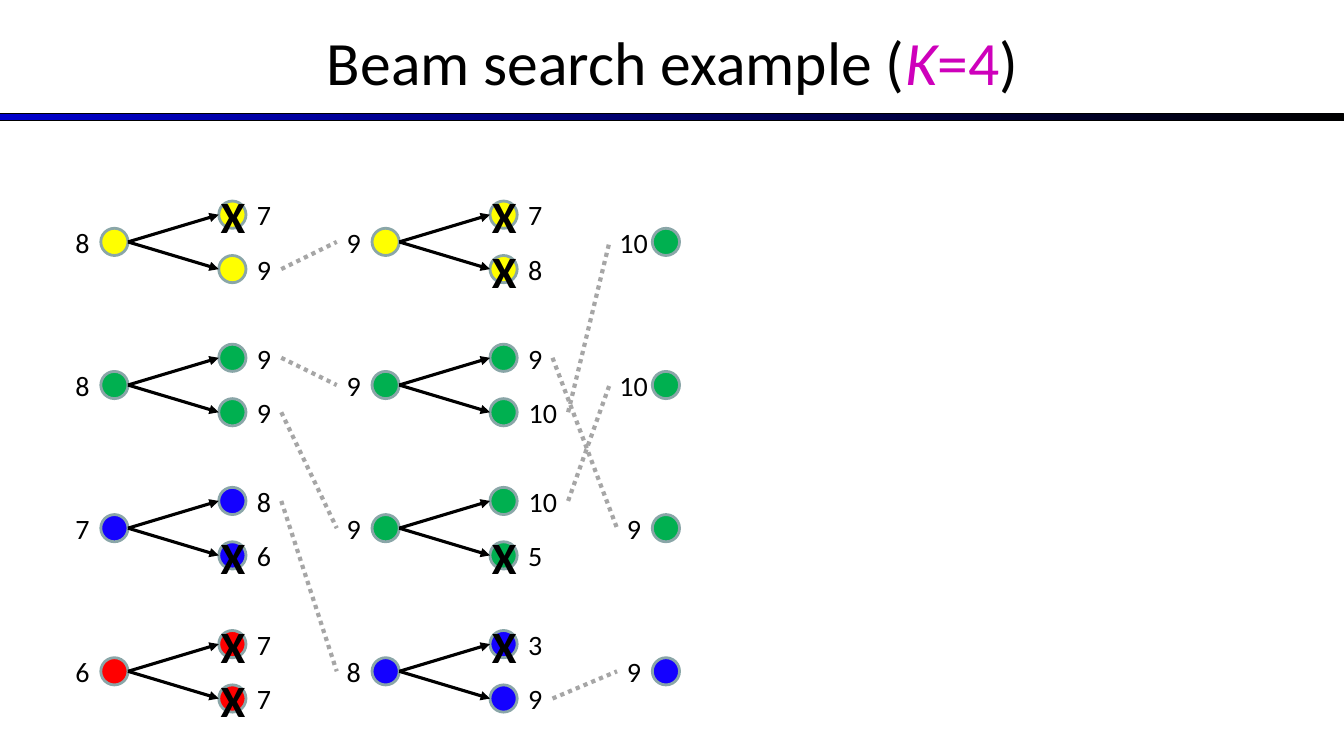
import pptx
import pptx.dml.color
import pptx.enum.dml
import pptx.enum.shapes
import pptx.enum.text
import pptx.oxml
import pptx.oxml.ns
import pptx.util

Inches = pptx.util.Inches
COLORS = {
    "black": "000000", "navy": "0000CC", "pink": "CE00BB",
    "rim": "8AA6A8", "link": "A6A6A6",
    "yellow": "FFFF00", "green": "00B050", "blue": "1401FF", "red": "FF0000",
}

# Layout, in inches
COLS = [1.0, 3.69, 6.47]
TOP, STEP = 2.4, 1.42
DOT = 0.27
REACH = 1.17
SPREAD = 0.27

# Each row: color, score, then (child score, kept) pairs
BEAMS = [
    [("yellow", 8, [(7, False), (9, True)]),
     ("green", 8, [(9, True), (9, True)]),
     ("blue", 7, [(8, True), (6, False)]),
     ("red", 6, [(7, False), (7, False)])],
    [("yellow", 9, [(7, False), (8, False)]),
     ("green", 9, [(9, True), (10, True)]),
     ("green", 9, [(10, True), (5, False)]),
     ("blue", 8, [(3, False), (9, True)])],
    [("green", 10, []), ("green", 10, []), ("green", 9, []), ("blue", 9, [])],
]
# For each step: (row, child) to the row in the next beam
LINKS = [
    {(0, 1): 0, (1, 0): 1, (1, 1): 2, (2, 0): 3},
    {(3, 1): 3, (1, 0): 2, (2, 0): 1, (1, 1): 0},
]


def rgb(name):
    return pptx.dml.color.RGBColor.from_string(COLORS[name])


class Board:
    """Holds the style and the current slide."""

    font = "Calibri"

    def __init__(self, slide):
        self.shapes = slide.shapes

    def text(self, parts, x, y, w, h, size=20, bold=False, align="LEFT", wrap=False):
        """Write (text, color, italic) parts in a box centred on x, y."""
        box = self.shapes.add_textbox(
            Inches(x - w / 2), Inches(y - h / 2), Inches(w), Inches(h))
        frame = box.text_frame
        frame.word_wrap = wrap
        sizing = pptx.enum.text.MSO_AUTO_SIZE
        frame.auto_size = sizing.NONE if wrap else sizing.SHAPE_TO_FIT_TEXT
        frame.vertical_anchor = pptx.enum.text.MSO_ANCHOR.MIDDLE
        line = frame.paragraphs[0]
        line.alignment = pptx.enum.text.PP_ALIGN[align]
        for words, color, slant in parts:
            run = line.add_run()
            run.text = words
            run.font.name = self.font
            run.font.size = pptx.util.Pt(size)
            run.font.bold = bold
            run.font.italic = slant
            run.font.color.rgb = rgb(color)
        return box

    def score(self, value, x, y):
        width = 0.34 if value < 10 else 0.49
        return self.text([(str(value), "black", False)], x, y, width, 0.44)

    def cross(self, x, y):
        self.text([("X", "black", False)], x, y, 0.45, 0.64, size=32, bold=True)

    def dot(self, color, left, y):
        dot = self.shapes.add_shape(
            pptx.enum.shapes.MSO_SHAPE.OVAL,
            Inches(left), Inches(y - DOT / 2), Inches(DOT), Inches(DOT))
        dot.shadow.inherit = False
        dot.fill.solid()
        dot.fill.fore_color.rgb = rgb(color)
        dot.line.color.rgb = rgb("rim")
        dot.line.width = pptx.util.Pt(2)

    def line(self, start, end, color, width):
        line = self.shapes.add_connector(
            pptx.enum.shapes.MSO_CONNECTOR.STRAIGHT,
            *(Inches(v) for v in (*start, *end)))
        line.line.color.rgb = rgb(color)
        line.line.width = pptx.util.Pt(width)
        props = line._element.spPr
        props.append(pptx.oxml.parse_xml(
            f"<a:effectLst {pptx.oxml.ns.nsdecls('a')}/>"))
        return line

    def arrow(self, start, end):
        line = self.line(start, end, "black", 2.25)
        line.line._get_or_add_ln().append(pptx.oxml.parse_xml(
            f"<a:tailEnd {pptx.oxml.ns.nsdecls('a')} type='triangle'/>"))

    def link(self, source, target):
        """Join the right side of one score to the left side of another."""
        line = self.line((0, 0), (1, 1), "link", 3)
        line.line.dash_style = pptx.enum.dml.MSO_LINE.ROUND_DOT
        line.begin_connect(source, 3)
        line.end_connect(target, 1)

    def band(self, y, w, h):
        band = self.shapes.add_shape(
            pptx.enum.shapes.MSO_SHAPE.RECTANGLE,
            0, Inches(y), Inches(w), Inches(h))
        band.shadow.inherit = False
        band.fill.gradient()
        band.fill.gradient_angle = 0
        for stop, color in zip(band.fill.gradient_stops, ("navy", "black")):
            stop.color.rgb = rgb(color)
        band.line.color.rgb = rgb("black")
        band.line.width = pptx.util.Pt(0.75)

    def beam(self, left, rows):
        """Draw one beam; return its scores and its child scores."""
        heads, kids = [], {}
        for row, (color, value, pairs) in enumerate(rows):
            y = TOP + row * STEP
            self.dot(color, left, y)
            heads.append(self.score(value, left - 0.18, y))
            for side, (points, kept) in enumerate(pairs):
                kid_x = left + REACH
                kid_y = y + (2 * side - 1) * SPREAD
                self.dot(color, kid_x, kid_y)
                self.arrow((left + DOT, y), (kid_x, kid_y))
                middle = kid_x + 0.28 + (0.17 if points < 10 else 0.25)
                kids[row, side] = self.score(points, middle, kid_y)
                if not kept:
                    self.cross(kid_x + DOT / 2 + 0.01, kid_y + 0.01)
        return heads, kids


def main():
    deck = pptx.Presentation()
    deck.slide_width, deck.slide_height = Inches(13.33), Inches(7.5)
    board = Board(deck.slides.add_slide(deck.slide_layouts[6]))

    # Title and rule
    board.band(1.13, 13.33, 0.07)
    board.text(
        [("Beam search example (", "black", False), ("K", "pink", True),
         ("=4", "pink", False), (")", "black", False)],
        6.67, 0.6, 13.33, 1.25, size=44, align="CENTER", wrap=True)

    # Beams
    drawn = [board.beam(left, rows) for left, rows in zip(COLS, BEAMS)]

    # Links from kept children to the next beam
    for step, links in enumerate(LINKS):
        for kid, row in links.items():
            board.link(drawn[step][1][kid], drawn[step + 1][0][row])

    deck.save("out.pptx")


if __name__ == "__main__":
    main()
